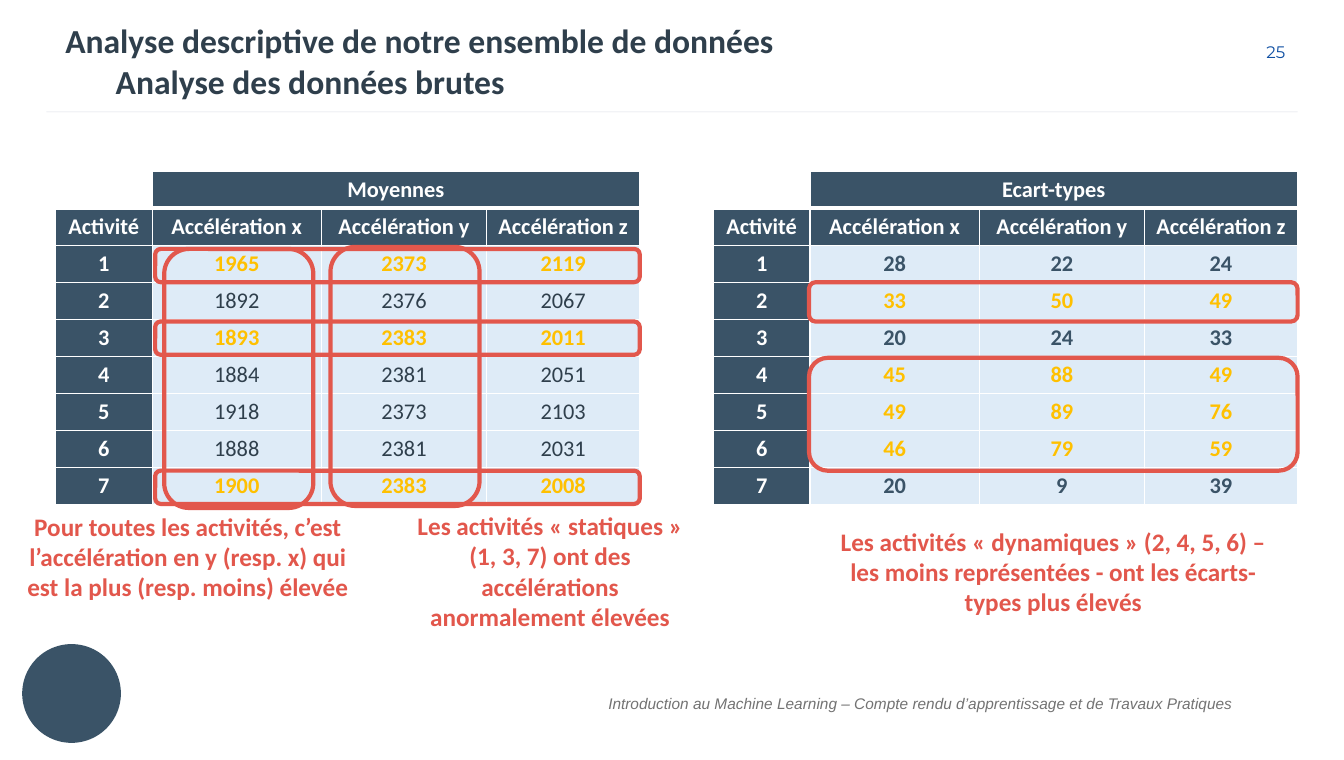
from dataclasses import dataclass
from lxml import etree
from pptx import Presentation
from pptx import util as u
from pptx.dml import color
from pptx.enum import shapes, text
from pptx.oxml import ns


@dataclass(frozen=True)
class Theme:
    navy: str = "3A5367"
    ink: str = "2F3F4C"
    pale: str = "DEEBF7"
    white: str = "FFFFFF"
    gold: str = "FFC000"
    red: str = "E2574C"
    rule: str = "002060"
    number: str = "1050A3"
    footer: str = "737373"
    font: str = "Calibri"
    title_size: float = 24
    note_size: float = 18
    table_size: float = 16
    number_size: float = 11.9
    footer_size: float = 11


@dataclass(frozen=True)
class Box:
    left: float
    top: float
    width: float
    height: float

    def emu(self) -> tuple:
        return tuple(u.Inches(v) for v in (self.left, self.top, self.width, self.height))


@dataclass(frozen=True)
class ActivityTable:
    title: str
    left: float
    values: tuple
    highlighted: tuple
    plain_color: str
    plain_bold: bool


@dataclass(frozen=True)
class Note:
    box: Box
    words: str


THEME = Theme()
CENTER = text.PP_ALIGN.CENTER
MIDDLE = text.MSO_ANCHOR.MIDDLE
TABLE_TOP, ROW_HEIGHT = 1.7, 3.3 / 9
COLUMN_WIDTHS = (0.96, 1.68, 1.64, 1.52)
HEADINGS = ("Activité", "Accélération x", "Accélération y", "Accélération z")

TABLES = (
    ActivityTable("Moyennes", 0.55, (
        (1965, 2373, 2119), (1892, 2376, 2067), (1893, 2383, 2011), (1884, 2381, 2051),
        (1918, 2373, 2103), (1888, 2381, 2031), (1900, 2383, 2008),
    ), (1, 3, 7), THEME.ink, False),
    ActivityTable("Ecart-types", 7.08, (
        (28, 22, 24), (33, 50, 49), (20, 24, 33), (45, 88, 49),
        (49, 89, 76), (46, 79, 59), (20, 9, 39),
    ), (2, 4, 5, 6), THEME.navy, True),
)
FRAMES = (
    Box(1.63, 2.47, 1.48, 2.57),
    Box(3.28, 2.45, 1.48, 2.57),
    *(Box(1.54, top, 4.81, 0.33) for top in (2.47, 3.19, 4.67)),
    Box(8.03, 2.8, 4.85, 0.39),
    Box(8.03, 3.55, 4.85, 1.12),
)
NOTES = (
    Note(Box(0.04, 4.96, 3.65, 1.12),
         "Pour toutes les activités, c’est l’accélération en y (resp. x) "
         "qui est la plus (resp. moins) élevée"),
    Note(Box(3.84, 4.94, 3.24, 1.45),
         "Les activités « statiques » (1, 3, 7) ont des accélérations anormalement élevées"),
)
DYNAMIC_NOTE = Note(
    Box(8.23, 5.17, 4.45, 1.01),
    "Les activités « dynamiques » (2, 4, 5, 6) – les moins représentées "
    "- ont les écarts-types plus élevés")


def rgb(value: str) -> color.RGBColor:
    return color.RGBColor.from_string(value)


def add_span(para, words: str, size: float, tint: str, bold: bool = False,
             italic: bool = False, font: str = THEME.font) -> None:
    span = para.add_run()
    span.text = words
    span.font.name, span.font.size = font, u.Pt(size)
    span.font.bold, span.font.italic = bold, italic
    span.font.color.rgb = rgb(tint)


def add_text_box(page, box: Box):
    frame = page.shapes.add_textbox(*box.emu()).text_frame
    frame.word_wrap = True
    return frame


def set_margins(frame, left: float, right: float) -> None:
    frame.margin_left, frame.margin_right = u.Inches(left), u.Inches(right)
    frame.margin_top = frame.margin_bottom = 0
    frame.vertical_anchor = MIDDLE


def add_shape(page, kind, box: Box):
    shape = page.shapes.add_shape(kind, *box.emu())
    shape.shadow.inherit = False
    shape.fill.background()
    shape.line.fill.background()
    return shape


def write_note(frame, words: str) -> None:
    frame.word_wrap = True
    para = frame.paragraphs[0]
    para.alignment = CENTER
    add_span(para, words, THEME.note_size, THEME.red, bold=True)


def set_borders(cell, bottom: float) -> None:
    properties = cell._tc.get_or_add_tcPr()
    for side, width in (("L", 1), ("R", 1), ("T", 1), ("B", bottom)):
        line = etree.SubElement(properties, ns.qn(f"a:ln{side}"), w=str(u.Pt(width)))
        fill = etree.SubElement(line, ns.qn("a:solidFill"))
        etree.SubElement(fill, ns.qn("a:srgbClr"), val=THEME.white)


def fill_cell(cell, words: str, fill: str, tint: str, bold: bool, bottom: float) -> None:
    set_borders(cell, bottom)
    cell.fill.solid()
    cell.fill.fore_color.rgb = rgb(fill)
    cell.vertical_anchor = MIDDLE
    if words:
        para = cell.text_frame.paragraphs[0]
        para.alignment = CENTER
        add_span(para, words, THEME.table_size, tint, bold)
    else:
        cell.margin_top = cell.margin_bottom = 0


def add_activity_table(page, data: ActivityTable) -> None:
    rows = [("", data.title, "", ""), HEADINGS]
    rows += [(activity, *values) for activity, values in enumerate(data.values, 1)]
    box = Box(data.left, TABLE_TOP, sum(COLUMN_WIDTHS), ROW_HEIGHT * len(rows))
    table = page.shapes.add_table(len(rows), len(HEADINGS), *box.emu()).table
    for column, width in zip(table.columns, COLUMN_WIDTHS):
        column.width = u.Inches(width)
    table.cell(0, 1).merge(table.cell(0, 3))
    for r, row in enumerate(rows):
        for c, value in enumerate(row):
            fill, tint, bold = THEME.navy, THEME.white, True
            if r == c == 0:
                fill = THEME.white
            elif r > 1 and c > 0:
                strong = row[0] in data.highlighted
                fill = THEME.pale
                tint = THEME.gold if strong else data.plain_color
                bold = strong or data.plain_bold
            fill_cell(table.cell(r, c), str(value), fill, tint, bold, 1 if r else 3)


def add_header(page) -> None:
    frame = add_text_box(page, Box(0.55, 0.15, 11.08, 0.91))
    add_span(frame.paragraphs[0], "Analyse descriptive de notre ensemble de données",
             THEME.title_size, THEME.ink, bold=True)
    para = frame.add_paragraph()
    para.level = 1
    para._p.get_or_add_pPr().set("marL", str(u.Inches(0.5)))
    add_span(para, "Analyse des données brutes", THEME.title_size, THEME.ink, bold=True)

    # Faint rule under the title
    rule = page.shapes.add_connector(
        shapes.MSO_CONNECTOR.STRAIGHT, *(u.Inches(v) for v in (0.46, 1.11, 12.88, 1.11)))
    rule.line.width = u.Pt(0.5)
    rule.line.color.rgb = rgb(THEME.rule)
    tint = rule._element.spPr.find(".//" + ns.qn("a:srgbClr"))
    etree.SubElement(tint, ns.qn("a:alpha"), val="15000")
    etree.SubElement(rule._element.spPr, ns.qn("a:effectLst"))


def add_page_marks(page) -> None:
    number = add_text_box(page, Box(12.45, 0.36, 0.56, 0.31))
    set_margins(number, 0.12, 0)
    add_span(number.paragraphs[0], "25", THEME.number_size, THEME.number, font="Montserrat")

    disc = add_shape(page, shapes.MSO_SHAPE.OVAL, Box(0.22, 6.39, 0.98, 0.98))
    disc.fill.solid()
    disc.fill.fore_color.rgb = rgb(THEME.navy)

    footer = add_text_box(page, Box(5.93, 6.78, 6.46, 0.41))
    set_margins(footer, 0, 0.15)
    para = footer.paragraphs[0]
    para.alignment = text.PP_ALIGN.RIGHT
    para.line_spacing, para.space_before = 0.9, u.Pt(10)
    add_span(para, "Introduction au Machine Learning – Compte rendu d’apprentissage "
             "et de Travaux Pratiques", THEME.footer_size, THEME.footer,
             italic=True, font="Arial")


def main() -> None:
    deck = Presentation()
    deck.slide_width, deck.slide_height = u.Inches(13.34), u.Inches(7.54)
    page = deck.slides.add_slide(deck.slide_layouts[6])
    add_page_marks(page)
    add_header(page)
    for data in TABLES:
        add_activity_table(page, data)

    # Comments under the tables
    write_note(add_text_box(page, DYNAMIC_NOTE.box), DYNAMIC_NOTE.words)
    for note in NOTES:
        shape = add_shape(page, shapes.MSO_SHAPE.ROUNDED_RECTANGLE, note.box)
        write_note(shape.text_frame, note.words)

    # Red frames around the notable values
    for box in FRAMES:
        outline = add_shape(page, shapes.MSO_SHAPE.ROUNDED_RECTANGLE, box).line
        outline.color.rgb = rgb(THEME.red)
        outline.width = u.Pt(3)
    deck.save("out.pptx")


if __name__ == "__main__":
    main()
